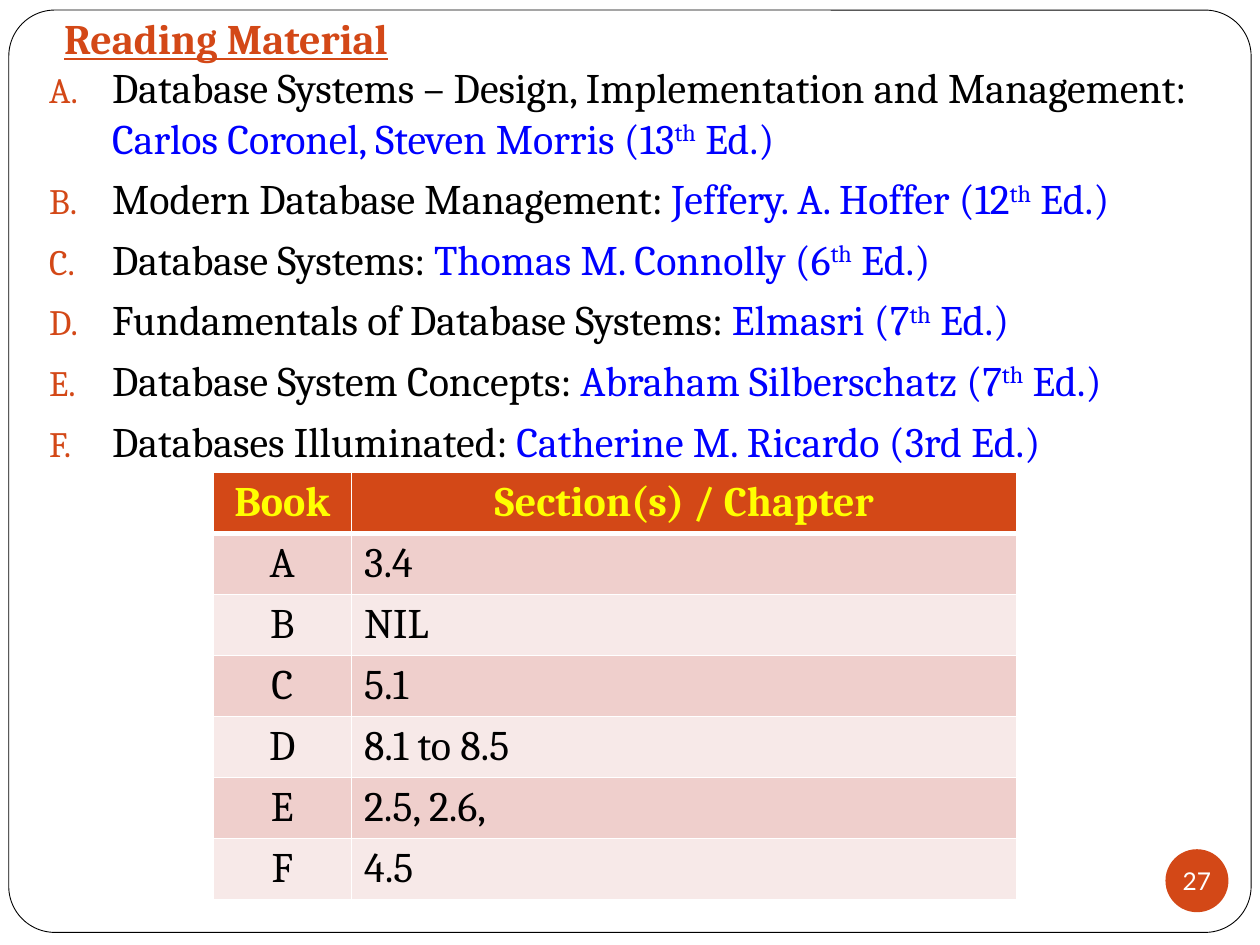
from dataclasses import dataclass

from lxml import etree
from pptx import Presentation
from pptx.dml.color import RGBColor
from pptx.enum import shapes, text
from pptx.oxml import ns
from pptx.util import Inches, Pt


@dataclass(frozen=True)
class Theme:
    face: str = "Cambria"
    badge_face: str = "Lato"
    size: int = 24
    small: int = 14
    accent: str = "D34817"
    ink: str = "000000"
    author: str = "0000FF"
    head: str = "FFFF00"
    paper: str = "FFFFFF"
    bands: tuple = ("EFCFCC", "F7E9E8")


BOOKS = [
    ("Database Systems – Design, Implementation and Management: ", "Carlos Coronel, Steven Morris (13", "th", " Ed.)"),
    ("Modern Database Management: ", "Jeffery. A. Hoffer (12", "th", " Ed.)"),
    ("Database Systems: ", "Thomas M. Connolly (6", "th", " Ed.)"),
    ("Fundamentals of Database Systems: ", "Elmasri (7", "th", " Ed.)"),
    ("Database System Concepts: ", "Abraham Silberschatz (7", "th", " Ed.)"),
    ("Databases Illuminated: ", "Catherine M. Ricardo (3rd Ed.)"),
]
ROWS = [
    ("Book", "Section(s) / Chapter"),
    ("A", "3.4"),
    ("B", "NIL"),
    ("C", "5.1"),
    ("D", "8.1 to 8.5"),
    ("E", "2.5, 2.6,"),
    ("F", "4.5"),
]


def rgb(code):
    return RGBColor.from_string(code)


def node(root, tag, **attrs):
    return etree.SubElement(root, ns.qn(tag), **attrs)


class Deck:
    """Draws styled elements on the current slide."""

    def __init__(self, theme):
        self.theme = theme
        self.prs = Presentation()
        self.prs.slide_width, self.prs.slide_height = Inches(10), Inches(7.5)
        self.slide = self.prs.slides.add_slide(self.prs.slide_layouts[1])

    def style(self, run, color, bold=False, size=None, face=None):
        font = run.font
        font.name, font.size = face or self.theme.face, Pt(size or self.theme.size)
        font.bold, font.color.rgb = bold, rgb(color)

    def place(self, shape, box):
        shape.left, shape.top, shape.width, shape.height = map(Inches, box)

    def shape(self, kind, box, fill, line=None):
        item = self.slide.shapes.add_shape(kind, *map(Inches, box))
        item.shadow.inherit = False
        item.fill.solid()
        item.fill.fore_color.rgb = rgb(fill)
        if line:
            item.line.color.rgb, item.line.width = rgb(line), Pt(0.5)
        else:
            item.line.fill.background()
        return item

    def frame(self, box):
        item = self.shape(shapes.MSO_SHAPE.ROUNDED_RECTANGLE, box, self.theme.paper, self.theme.ink)
        item.adjustments[0] = 0.05
        tree = self.slide.shapes._spTree
        tree.remove(item._element)
        tree.insert(2, item._element)

    def title(self, words, box):
        item = self.slide.shapes.title
        self.place(item, box)
        body = item.text_frame
        body.text, body.auto_size = words, text.MSO_AUTO_SIZE.NONE
        body.vertical_anchor, body.margin_bottom = text.MSO_ANCHOR.BOTTOM, Inches(0.1)
        line = body.paragraphs[0]
        line.alignment = text.PP_ALIGN.LEFT
        self.style(line.runs[0], self.theme.accent, bold=True)
        line.runs[0].font.underline = True

    def letter(self, para):
        props = para._p.get_or_add_pPr()
        props.set("marL", str(Inches(0.5)))
        props.set("indent", str(-Inches(0.5)))
        node(node(props, "a:buClr"), "a:srgbClr", val=self.theme.accent)
        node(props, "a:buSzPct", val="85000")
        node(props, "a:buFont", typeface=self.theme.face)
        node(props, "a:buAutoNum", type="alphaUcPeriod")

    def books(self, items, box):
        item = self.slide.placeholders[1]
        self.place(item, box)
        body = item.text_frame
        body.auto_size = text.MSO_AUTO_SIZE.NONE
        for i, parts in enumerate(items):
            para = body.add_paragraph() if i else body.paragraphs[0]
            self.letter(para)
            para.space_before = Pt(5.8 if i else 0)
            for j, part in enumerate(parts):
                run = para.add_run()
                run.text = part
                self.style(run, self.theme.author if j else self.theme.ink)
                if part == "th":
                    run.font._element.set("baseline", "30000")

    def edges(self, cell, head):
        props = cell._tc.get_or_add_tcPr()
        for side in "LRTB":
            width = 3 if head and side == "B" else 1
            line = node(props, f"a:ln{side}", w=str(Pt(width)))
            node(node(line, "a:solidFill"), "a:srgbClr", val=self.theme.paper)

    def cell(self, cell, words, head, fill, center):
        self.edges(cell, head)
        cell.fill.solid()
        cell.fill.fore_color.rgb = rgb(fill)
        cell.text = words
        para = cell.text_frame.paragraphs[0]
        para.alignment = text.PP_ALIGN.CENTER if center else text.PP_ALIGN.LEFT
        self.style(para.runs[0], self.theme.head if head else self.theme.ink, bold=head)

    def table(self, rows, spot, widths, height):
        size = (sum(widths), height * len(rows))
        grid = self.slide.shapes.add_table(len(rows), len(widths), *map(Inches, spot + size)).table
        for col, width in zip(grid.columns, widths):
            col.width = Inches(width)
        for i, row in enumerate(rows):
            grid.rows[i].height = Inches(height)
            head = i == 0
            fill = self.theme.accent if head else self.theme.bands[(i - 1) % 2]
            for j, words in enumerate(row):
                self.cell(grid.cell(i, j), words, head, fill, head or j == 0)

    def badge(self, words, box):
        item = self.shape(shapes.MSO_SHAPE.OVAL, box, self.theme.accent)
        body = item.text_frame
        body.text, body.word_wrap = words, False
        body.margin_left = body.margin_right = body.margin_top = body.margin_bottom = 0
        body.vertical_anchor = text.MSO_ANCHOR.MIDDLE
        para = body.paragraphs[0]
        para.alignment = text.PP_ALIGN.CENTER
        self.style(para.runs[0], self.theme.paper, size=self.theme.small, face=self.theme.badge_face)


def main():
    deck = Deck(Theme())
    deck.frame((0.07, 0.08, 9.86, 7.32))
    deck.title("Reading Material", (0.41, 0.1, 7.53, 0.5))
    deck.books(BOOKS, (0.29, 0.44, 9.42, 3.35))
    deck.table(ROWS, (1.69, 3.75), (1.1, 5.28), 0.47)
    deck.badge("27", (9.25, 6.74, 0.5, 0.5))
    deck.prs.save("out.pptx")


if __name__ == "__main__":
    main()
